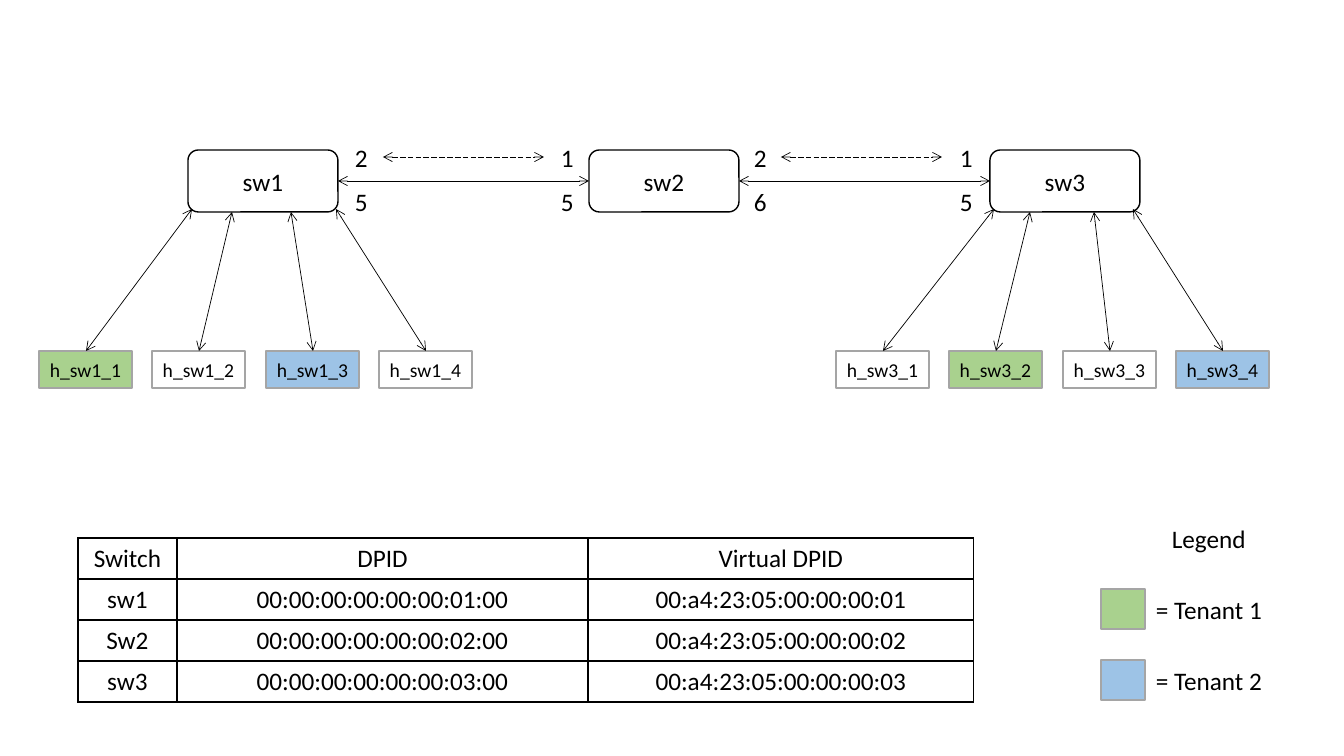
"""Builds a slide of a three-switch network with its hosts, DPID table and tenant legend."""
from lxml import etree
from pptx import Presentation
from pptx.dml.color import RGBColor
from pptx.enum.dml import MSO_LINE
from pptx.enum.shapes import MSO_CONNECTOR, MSO_SHAPE
from pptx.enum.text import MSO_ANCHOR, MSO_AUTO_SIZE, PP_ALIGN
from pptx.oxml.ns import qn
from pptx.util import Pt

RECT, ROUND = MSO_SHAPE.RECTANGLE, MSO_SHAPE.ROUNDED_RECTANGLE
LINE, DASH = MSO_CONNECTOR.STRAIGHT, MSO_LINE.LONG_DASH
LEFT, CENTER, MIDDLE = PP_ALIGN.LEFT, PP_ALIGN.CENTER, MSO_ANCHOR.MIDDLE
GROW = MSO_AUTO_SIZE.SHAPE_TO_FIT_TEXT
BLACK, WHITE, GRAY, GREEN, BLUE = "000000", "FFFFFF", "A5A5A5", "A9D18E", "9DC3E6"


def px(*sizes):
    return [round(size * 914400 / 100.8) for size in sizes]


def color(code):
    return RGBColor.from_string(code)


def write(frame, text, size=18, align=LEFT, font="Calibri", ink=BLACK):
    para = frame.paragraphs[0]
    para.alignment = align
    run = para.add_run()
    run.text = text
    run.font.name, run.font.size = font, Pt(size)
    run.font.color.rgb = color(ink)


class Sketch:
    def __init__(self, deck, ink=BLACK):
        self.slide = deck.slides.add_slide(deck.slide_layouts[6])
        self.shapes = self.slide.shapes
        self.ink = ink

    def box(self, x, y, w, h, text="", kind=RECT, fill=WHITE, edge=GRAY, size=14):
        shape = self.shapes.add_shape(kind, *px(x, y, w, h))
        shape.shadow.inherit = False
        shape.fill.solid()
        shape.fill.fore_color.rgb = color(fill)
        shape.line.color.rgb = color(edge)
        shape.line.width = Pt(1)
        if text:
            frame = shape.text_frame
            frame.vertical_anchor = MIDDLE
            frame.margin_left = frame.margin_right = 0
            write(frame, text, size=size, align=CENTER)

    def label(self, x, y, w, text):
        frame = self.shapes.add_textbox(*px(x, y, w, 40)).text_frame
        frame.word_wrap = False
        frame.auto_size = GROW
        write(frame, text)

    def arrow(self, x1, y1, x2, y2, dash=None):
        link = self.shapes.add_connector(LINE, *px(x1, y1, x2, y2))
        link.line.color.rgb = color(self.ink)
        link.line.width = Pt(0.5)
        if dash is not None:
            link.line.dash_style = dash
        props = link._element.spPr
        for end in ("a:headEnd", "a:tailEnd"):
            etree.SubElement(props.find(qn("a:ln")), qn(end), type="arrow")
        etree.SubElement(props, qn("a:effectLst"))

    def border(self, cell):
        props = cell._tc.get_or_add_tcPr()
        for side in "LRTB":
            line = etree.SubElement(props, qn("a:ln" + side), w=str(Pt(1)))
            fill = etree.SubElement(line, qn("a:solidFill"))
            etree.SubElement(fill, qn("a:srgbClr"), val=self.ink)

    def table(self, x, y, widths, height, rows):
        size = px(x, y, sum(widths), height * len(rows))
        grid = self.shapes.add_table(len(rows), len(widths), *size).table
        grid.first_row = grid.horz_banding = False
        for col, width in zip(grid.columns, px(*widths)):
            col.width = width
        for row, texts in zip(grid.rows, rows):
            row.height = px(height)[0]
            for cell, text in zip(row.cells, texts):
                self.border(cell)
                cell.fill.background()
                write(cell.text_frame, text, align=CENTER)


deck = Presentation()
deck.slide_width, deck.slide_height = px(1344, 756)
sketch = Sketch(deck)

for i in range(3):
    sketch.box(188 + 401 * i, 150, 150, 62, f"sw{i + 1}", kind=ROUND, edge=BLACK, size=18)

for start, end in ((338, 589), (739, 990)):
    sketch.arrow(start, 181, end, 181)
for start in (383, 781):
    sketch.arrow(start, 157, start + 161, 157, dash=DASH)

for x, high, low in ((345, "2", "5"), (551, "1", "5"), (744, "2", "6"), (950, "1", "5")):
    sketch.label(x, 137, 33, high)
    sketch.label(x, 181, 33, low)

groups = (
    ("sw1", 39, (GREEN, WHITE, BLUE, WHITE), (192, 232, 291, 336)),
    ("sw3", 836, (WHITE, GREEN, WHITE, BLUE), (994, 1030, 1094, 1133)),
)
for name, left, fills, ports in groups:
    for i, (fill, port) in enumerate(zip(fills, ports)):
        x = left + round(i * 113.3)
        sketch.box(x, 351, 93, 37, f"h_{name}_{i + 1}", fill=fill)
        sketch.arrow(port, 209 if i in (0, 3) else 212, x + 47, 351)

sketch.label(1162, 518, 95, "Legend")
for i, fill in enumerate((GREEN, BLUE)):
    y = 589 + 71 * i
    sketch.box(1101, y, 44, 40, fill=fill)
    sketch.label(1146, y, 128, f"= Tenant {i + 1}")

rows = [("Switch", "DPID", "Virtual DPID")]
for i, name in enumerate(("sw1", "Sw2", "sw3"), 1):
    rows.append((name, f"00:00:00:00:00:00:0{i}:00", f"00:a4:23:05:00:00:00:0{i}"))
sketch.table(78, 538, (99, 411, 386), 41, rows)

deck.save("out.pptx")
